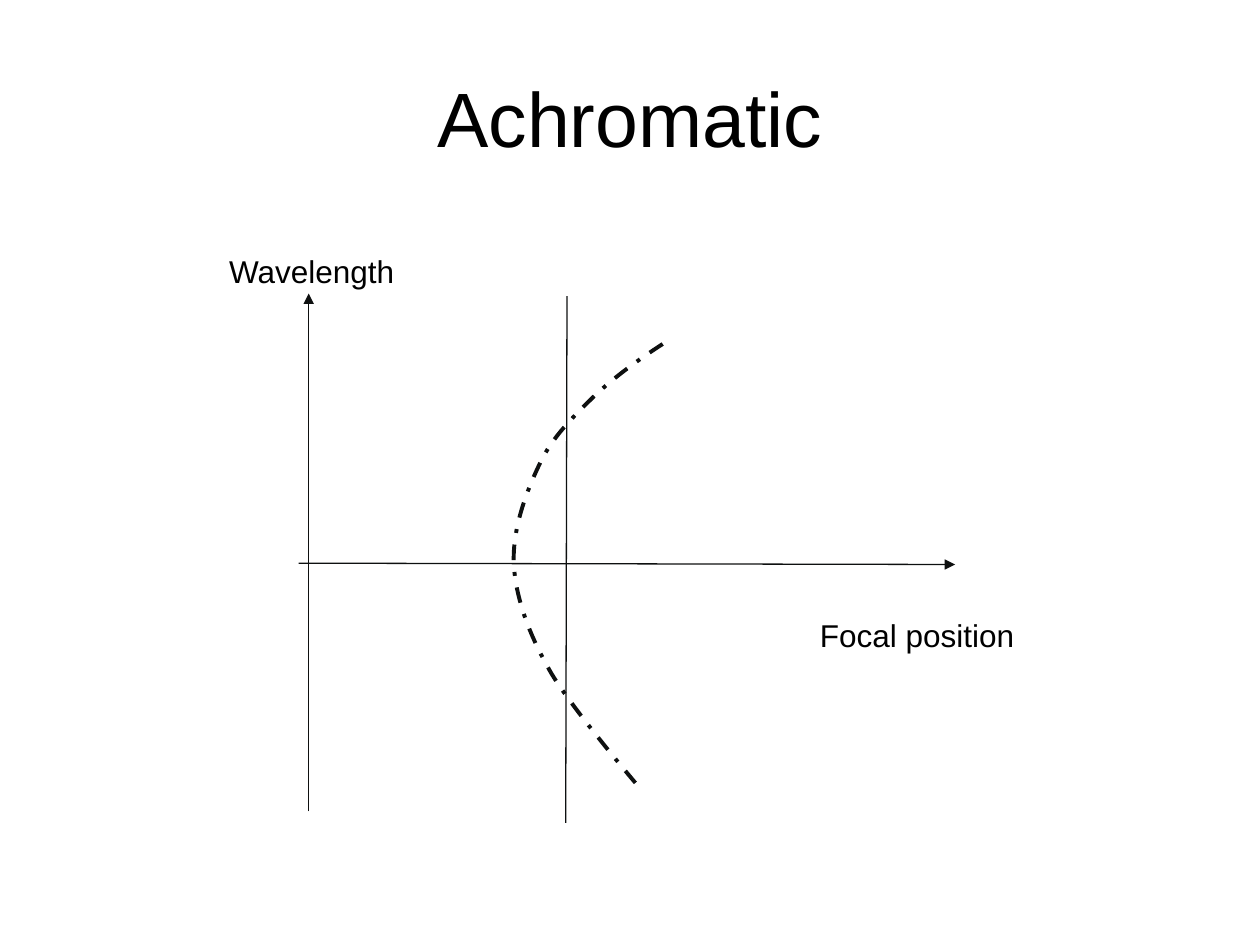
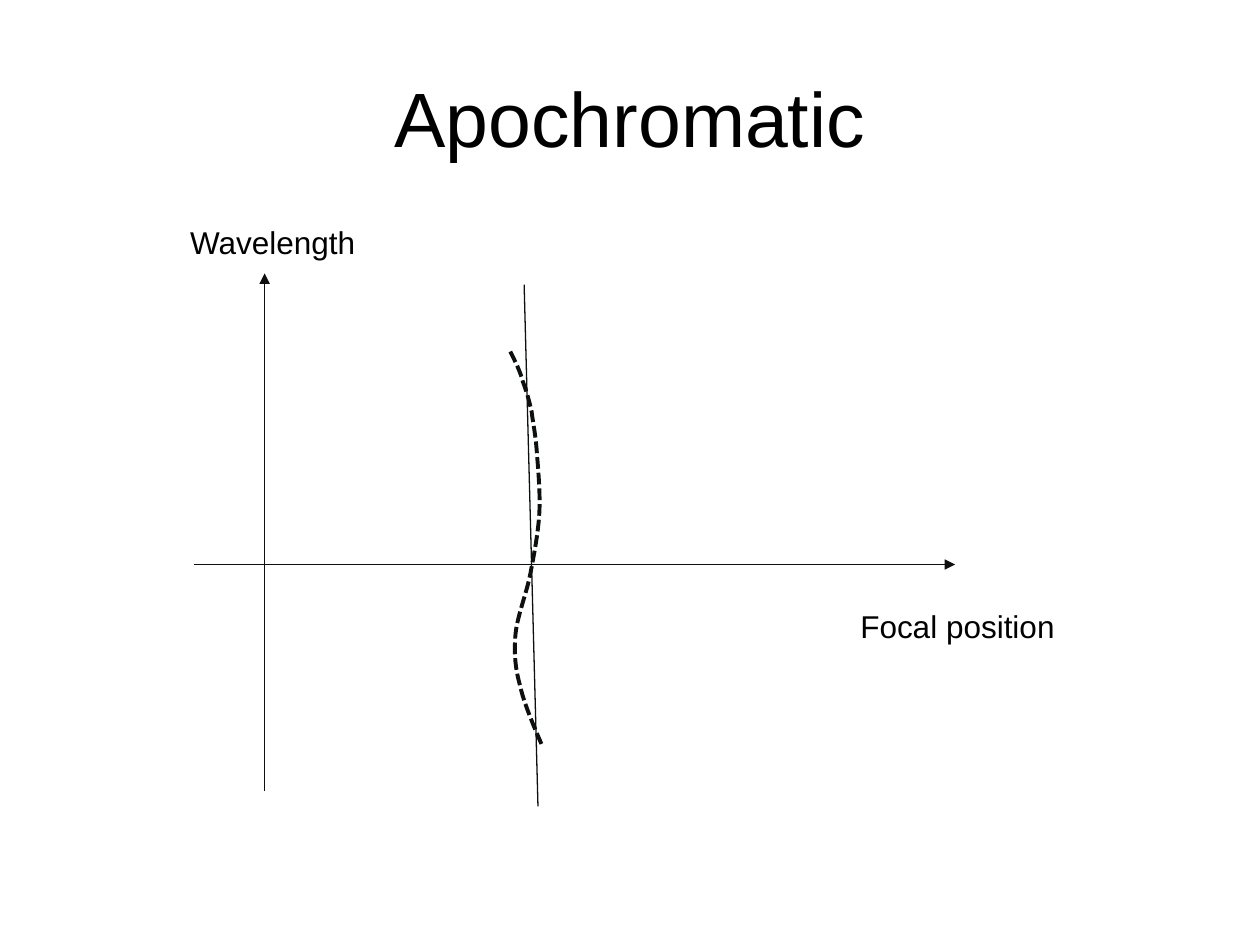
from pptx import Presentation
from pptx.dml.color import RGBColor
from pptx.enum.dml import MSO_LINE
from pptx.enum.shapes import MSO_CONNECTOR
from pptx.enum.text import MSO_ANCHOR, MSO_AUTO_SIZE, PP_ALIGN
from pptx.oxml.ns import qn
from pptx.util import Inches, Pt
from lxml import etree

STRAIGHT = MSO_CONNECTOR.STRAIGHT
LEFT, CENTER = PP_ALIGN.LEFT, PP_ALIGN.CENTER
TOP, MIDDLE = MSO_ANCHOR.TOP, MSO_ANCHOR.MIDDLE
FIT, FIXED = MSO_AUTO_SIZE.SHAPE_TO_FIT_TEXT, MSO_AUTO_SIZE.NONE

COLORS = {"text": "000000", "ink": "0E1010"}
FONT = "Arial"
THIN, THICK = 0.74, 2.24

deck = Presentation()
deck.slide_width, deck.slide_height = Inches(10), Inches(7.5)
# Square grid: 10 columns by 7.5 rows
CELL = deck.slide_width // 10

# Lines are start and end points; each curve is an anchor
# followed by two control points and an anchor per segment.
CHARTS = [
    {
        "title": "Achromatic",
        "wavelength_axis": ((2.45, 6.44), (2.45, 2.33)),
        "focal_axis": ((2.37, 4.47), (7.58, 4.48)),
        "focus_line": ((4.5, 2.35), (4.49, 6.53)),
        "curve": [(5.26, 2.73),
                  (5.06, 2.86), (4.88, 2.99), (4.71, 3.15),
                  (4.55, 3.31), (4.38, 3.47), (4.28, 3.69),
                  (4.17, 3.92), (4.06, 4.22), (4.08, 4.5),
                  (4.1, 4.77), (4.21, 5.06), (4.38, 5.35),
                  (4.56, 5.65), (5.1, 6.28), (5.1, 6.28)],
        "dash": MSO_LINE.DASH_DOT,
        "labels": [("Focal position", 6.41, 4.84, 1.87),
                   ("Wavelength", 1.72, 1.95, 1.87)],
        "wrap": True,
    },
    {
        "title": "Apochromatic",
        "wavelength_axis": ((2.1, 6.28), (2.1, 2.17)),
        "focal_axis": ((1.54, 4.48), (7.58, 4.48)),
        "focus_line": ((4.16, 2.26), (4.27, 6.4)),
        "curve": [(4.05, 2.79),
                  (4.09, 2.87), (4.13, 2.95), (4.15, 3.03),
                  (4.18, 3.11), (4.2, 3.18), (4.22, 3.27),
                  (4.23, 3.36), (4.25, 3.44), (4.26, 3.58),
                  (4.27, 3.71), (4.29, 3.92), (4.28, 4.08),
                  (4.27, 4.24), (4.24, 4.39), (4.21, 4.55),
                  (4.18, 4.71), (4.1, 4.9), (4.09, 5.05),
                  (4.08, 5.2), (4.09, 5.31), (4.13, 5.45),
                  (4.16, 5.6), (4.3, 5.91), (4.3, 5.91)],
        "dash": MSO_LINE.SQUARE_DOT,
        "labels": [("Focal position", 6.73, 4.77, 1.74),
                   ("Wavelength", 1.41, 1.72, 1.52)],
        "wrap": False,
    },
]


def add_text(page, text, area, size, align=LEFT, anchor=TOP, fit=FIT, wrap=True):
    box = page.shapes.add_textbox(*[round(length * CELL) for length in area])
    frame = box.text_frame
    frame.text = text
    frame.word_wrap, frame.auto_size = wrap, fit
    frame.vertical_anchor = anchor
    para = frame.paragraphs[0]
    para.alignment = align
    font = para.runs[0].font
    font.name, font.size = FONT, Pt(size)
    font.color.rgb = RGBColor.from_string(COLORS["text"])


def add_line(page, start, end, arrow):
    ends = [round(length * CELL) for length in start + end]
    connector = page.shapes.add_connector(STRAIGHT, *ends)
    connector.line.color.rgb = RGBColor.from_string(COLORS["ink"])
    connector.line.width = Pt(THIN)
    if arrow:
        outline = connector.line._get_or_add_ln()
        etree.SubElement(outline, qn("a:tailEnd"), type="triangle")
    etree.SubElement(connector._element.spPr, qn("a:effectLst"))


for chart in CHARTS:
    page = deck.slides.add_slide(deck.slide_layouts[6])
    add_text(page, chart["title"], (0.5, 0.3, 9, 1.25), 44, CENTER, MIDDLE, FIXED)

    # Axes
    add_line(page, *chart["wavelength_axis"], arrow=True)
    add_line(page, *chart["focal_axis"], arrow=True)

    # Focal shift curve, drawn as a polygon through all points
    points = [(round(x * CELL), round(y * CELL)) for x, y in chart["curve"]]
    builder = page.shapes.build_freeform(*points[0])
    builder.add_line_segments(points[1:], close=False)
    curve = builder.convert_to_shape()
    curve.shadow.inherit = False
    curve.fill.background()
    curve.line.color.rgb = RGBColor.from_string(COLORS["ink"])
    curve.line.width = Pt(THICK)
    curve.line.dash_style = chart["dash"]

    # Every three straight steps become one Bezier segment
    outline = curve._element.xpath(".//a:path")[0]
    steps = outline.findall(qn("a:lnTo"))
    for first in range(0, len(steps), 3):
        bezier = etree.SubElement(outline, qn("a:cubicBezTo"))
        for step in steps[first:first + 3]:
            bezier.append(step[0])
            outline.remove(step)

    # Common focus and axis labels
    add_line(page, *chart["focus_line"], arrow=False)
    for text, left, top, width in chart["labels"]:
        add_text(page, text, (left, top, width, 0.4), 18, wrap=chart["wrap"])

deck.save("out.pptx")
